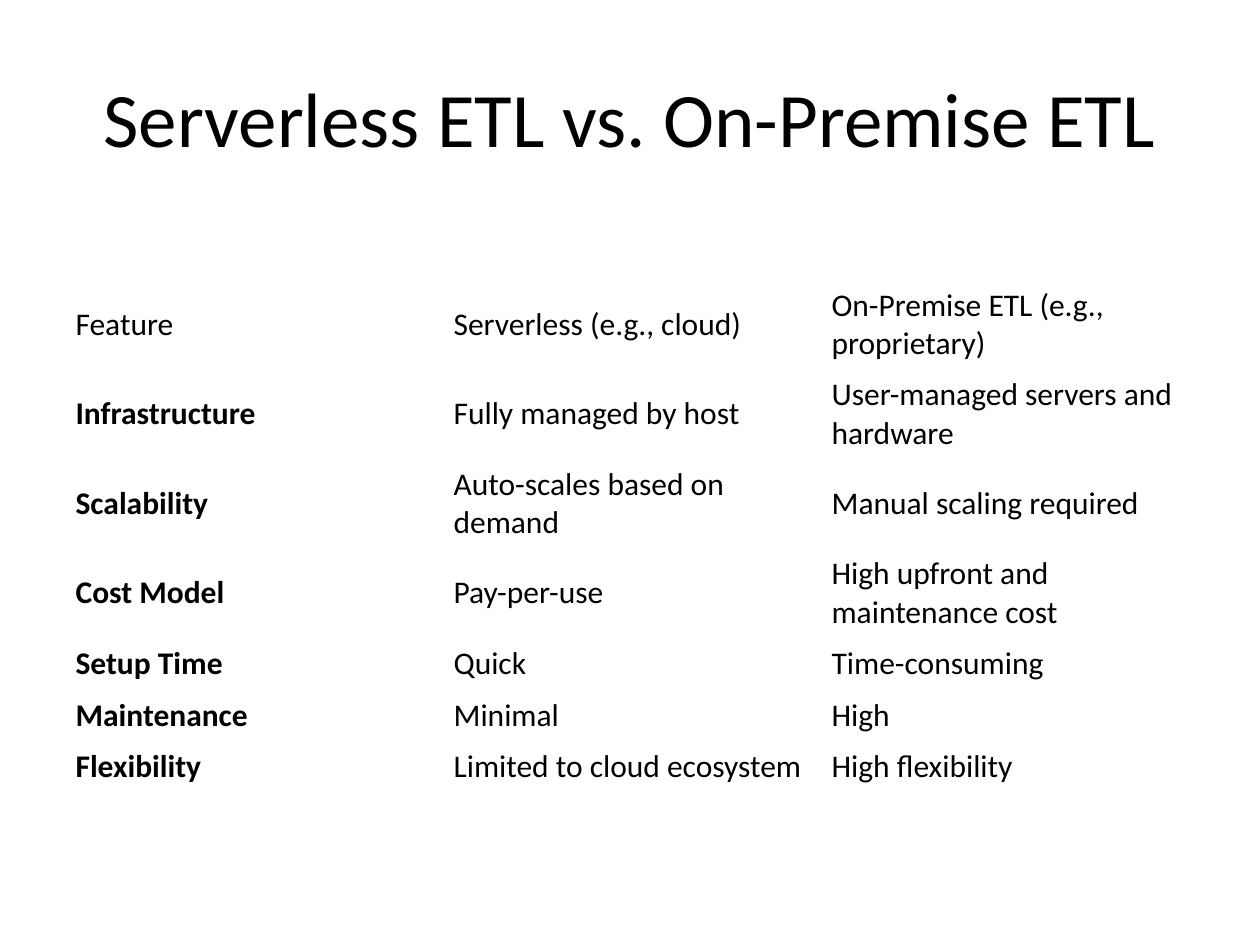
from pptx import Presentation
from pptx.dml.color import RGBColor
from pptx.enum.text import MSO_ANCHOR as Anchor, PP_ALIGN as Align
from pptx.util import Inches, Pt

# Content
TITLE = "Serverless ETL vs. On-Premise ETL"
COMPARISON = [
    ("Feature", "Serverless (e.g., cloud)", "On-Premise ETL (e.g., proprietary)"),
    ("Infrastructure", "Fully managed by host", "User-managed servers and hardware"),
    ("Scalability", "Auto-scales based on demand", "Manual scaling required"),
    ("Cost Model", "Pay-per-use", "High upfront and maintenance cost"),
    ("Setup Time", "Quick", "Time-consuming"),
    ("Maintenance", "Minimal", "High"),
    ("Flexibility", "Limited to cloud ecosystem", "High flexibility"),
]

# Format
BLACK = RGBColor(0x00, 0x00, 0x00)
TITLE_FONT = {"name": "Calibri", "size": Pt(44)}
CELL_FONT = {"name": "Calibri", "size": Pt(18)}
LEFT, WIDTH = 0.5, 9
TABLE_TOP = 2.22
TALL_ROW, SHORT_ROW = 0.71, 0.41
LINE_CHARS = 26  # longest text that fits on one line of a column


def format_text(paragraph, font_values, bold=False, align=Align.LEFT):
    paragraph.alignment = align
    font = paragraph.runs[0].font
    for attribute, value in {**font_values, "bold": bold}.items():
        setattr(font, attribute, value)
    font.color.rgb = BLACK


def row_height(texts):
    return TALL_ROW if max(map(len, texts)) > LINE_CHARS else SHORT_ROW


def main():
    prs = Presentation()
    prs.slide_width, prs.slide_height = Inches(10), Inches(7.5)
    slide = prs.slides.add_slide(prs.slide_layouts[5])

    # Title
    title = slide.shapes.title
    title.left, title.top = Inches(LEFT), Inches(0.3)
    title.width, title.height = Inches(WIDTH), Inches(1.25)
    title.text_frame.text = TITLE
    title.text_frame.vertical_anchor = Anchor.MIDDLE
    format_text(title.text_frame.paragraphs[0], TITLE_FONT, align=Align.CENTER)

    # Comparison table
    heights = [row_height(texts) for texts in COMPARISON]
    columns = len(COMPARISON[0])
    table = slide.shapes.add_table(
        len(COMPARISON), columns, Inches(LEFT), Inches(TABLE_TOP),
        Inches(WIDTH), Inches(sum(heights))).table
    table.first_row = table.horz_banding = False
    for column in table.columns:
        column.width = Inches(WIDTH / columns)
    for r, texts in enumerate(COMPARISON):
        table.rows[r].height = Inches(heights[r])
        for c, text in enumerate(texts):
            cell = table.cell(r, c)
            cell.text = text
            cell.vertical_anchor = Anchor.MIDDLE
            cell.fill.background()
            format_text(cell.text_frame.paragraphs[0], CELL_FONT, bold=r > 0 and c == 0)

    prs.save("out.pptx")


if __name__ == "__main__":
    main()
